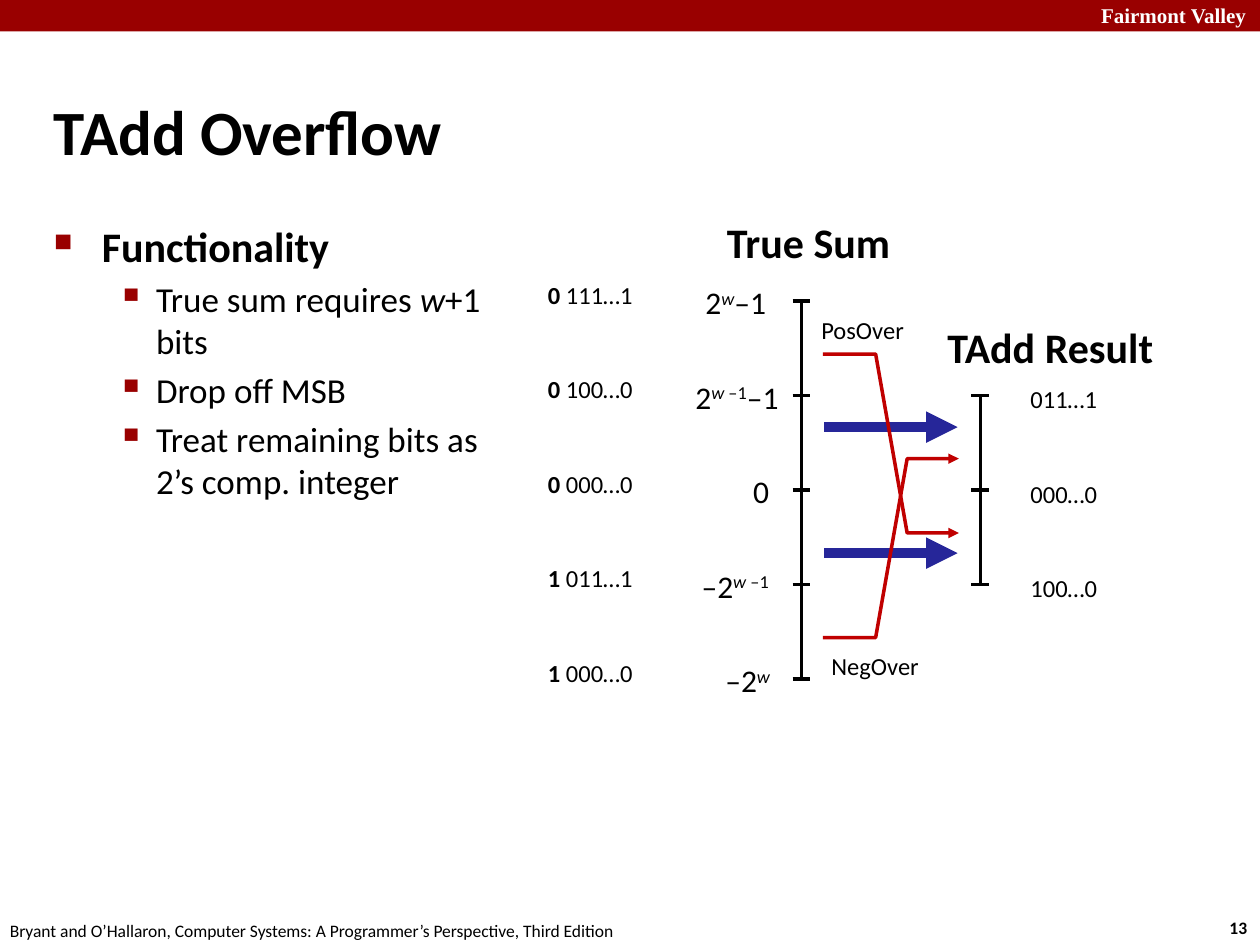
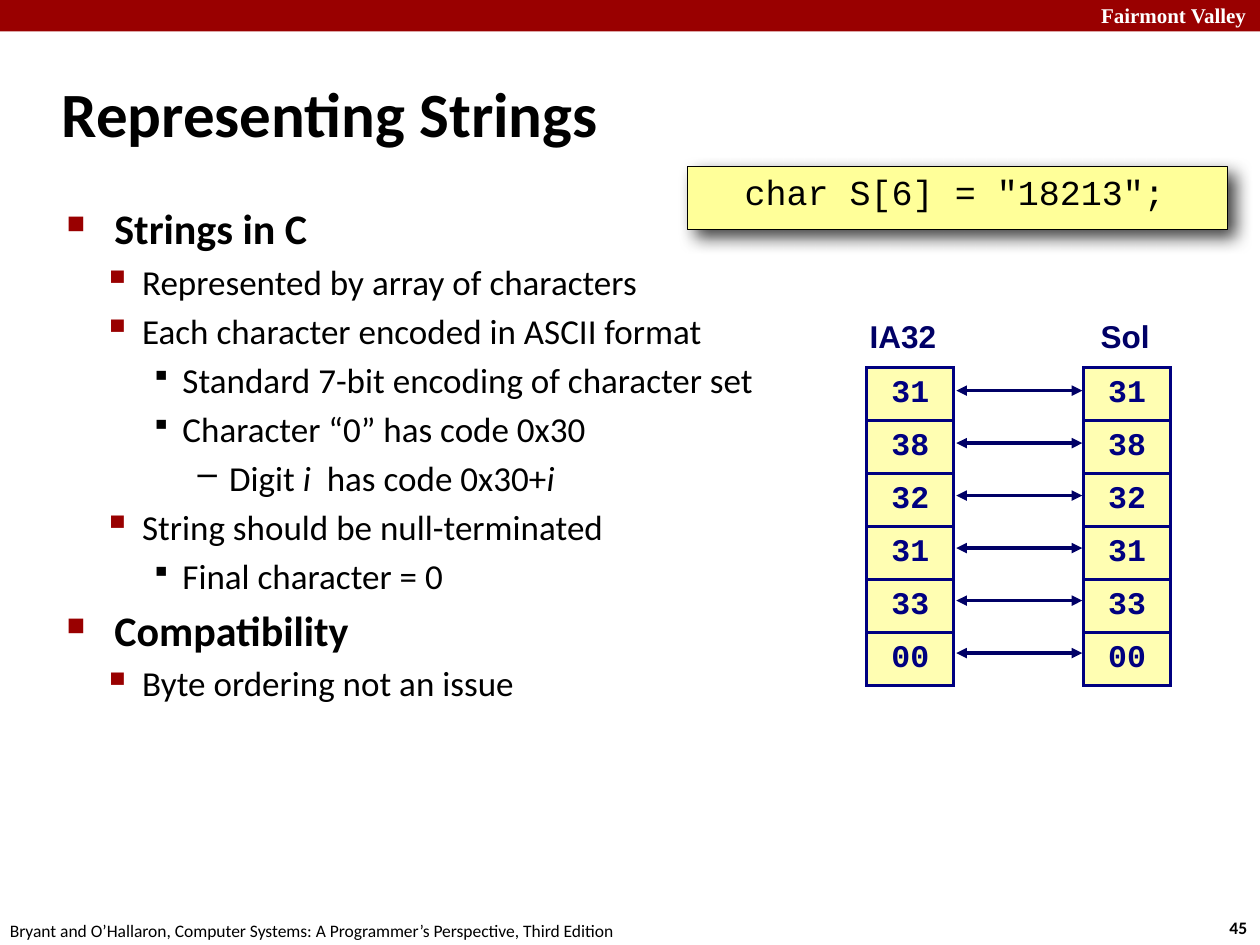
from lxml import etree
from pptx import Presentation
from pptx.dml.color import RGBColor
from pptx.enum.text import MSO_ANCHOR, MSO_AUTO_SIZE, PP_ALIGN
from pptx.oxml.ns import qn
from pptx.util import Inches, Pt

BLACK = RGBColor(0x00, 0x00, 0x00)
WHITE = RGBColor(0xFF, 0xFF, 0xFF)
CRIMSON = RGBColor(0x99, 0x00, 0x00)
RED = RGBColor(0xC0, 0x00, 0x00)
BLUE = RGBColor(0x26, 0x26, 0x99)
NAVY = RGBColor(0x00, 0x00, 0x66)
TABLE_NAVY = RGBColor(0x00, 0x00, 0x80)
CODE_YELLOW = RGBColor(0xFF, 0xFF, 0x99)
CELL_YELLOW = RGBColor(0xFF, 0xFE, 0xB2)

LEFT, CENTER, RIGHT = PP_ALIGN.LEFT, PP_ALIGN.CENTER, PP_ALIGN.RIGHT
TOP, MIDDLE = MSO_ANCHOR.TOP, MSO_ANCHOR.MIDDLE
GROW, FIXED = MSO_AUTO_SIZE.SHAPE_TO_FIT_TEXT, MSO_AUTO_SIZE.NONE

ITALIC = {"italic": True}
RAISED = {"baseline": 30000}
RAISED_ITALIC = {"italic": True, "baseline": 30000}
PLAIN = {"bold": False}

# Bullet levels: character, colour, size %, text size, bold
BULLETS = [
    ("■", CRIMSON, 60, 24, True),
    ("▪", CRIMSON, 110, 20, False),
    ("▪", BLACK, 80, 20, False),
    ("–", BLACK, 100, 20, False),
]


def add_text(slide, at, paragraphs, size, font="Calibri", color=BLACK, bold=False,
             align=LEFT, anchor=TOP, wrap=False, fit=GROW, insets=(0.1, 0.05, 0.1, 0.05)):
    """Add a text box; each paragraph is a list of strings or (string, format) pairs."""
    box = slide.shapes.add_textbox(*[Inches(length) for length in at])
    frame = box.text_frame
    frame.word_wrap, frame.auto_size, frame.vertical_anchor = wrap, fit, anchor
    for side, inset in zip(("left", "top", "right", "bottom"), insets):
        setattr(frame, f"margin_{side}", Inches(inset))
    for i, runs in enumerate(paragraphs):
        paragraph = frame.paragraphs[0] if i == 0 else frame.add_paragraph()
        paragraph.alignment = align
        for part in runs:
            text, changes = (part, {}) if isinstance(part, str) else part
            run = paragraph.add_run()
            run.text = text
            run.font.color.rgb = color
            formats = {"size": Pt(size), "name": font, "bold": bold, **changes}
            for key, value in formats.items():
                if key == "baseline":
                    run.font._element.set(key, str(value))
                else:
                    setattr(run.font, key, value)
    return box


def add_line(slide, points, color, width=2, ends=()):
    """Draw a straight or bent line; ends lists headEnd and/or tailEnd for arrowheads."""
    points = [(Inches(x), Inches(y)) for x, y in points]
    if len(points) == 2:
        line = slide.shapes.add_connector(1, *points[0], *points[1])
    else:
        builder = slide.shapes.build_freeform(*points[0])
        builder.add_line_segments(points[1:], close=False)
        line = builder.convert_to_shape()
        line.fill.background()
    line.line.color.rgb = color
    line.line.width = Pt(width)
    for end in ends:
        etree.SubElement(line.line._get_or_add_ln(), qn(f"a:{end}"), type="triangle")
    etree.SubElement(line._element.spPr, qn("a:effectLst"))


prs = Presentation()
prs.slide_width, prs.slide_height = Inches(10), Inches(7.5)

overflow_body = [
    (0, ["Functionality"]),
    (1, ["True sum requires ", ("w", ITALIC), "+1 bits"]),
    (1, ["Drop off MSB"]),
    (1, ["Treat remaining bits as 2’s comp. integer"]),
]
strings_body = [
    (0, ["Strings in C"]),
    (1, ["Represented by array of characters"]),
    (1, ["Each character encoded in ASCII format"]),
    (2, ["Standard 7-bit encoding of character set"]),
    (2, ["Character “0” has code 0x30"]),
    (3, ["Digit ", ("i", ITALIC), "  has code 0x30+", ("i", ITALIC)]),
    (1, ["String should be null-terminated"]),
    (2, ["Final character = 0"]),
    (0, ["Compatibility"]),
    (1, ["Byte ordering not an issue"]),
]

# Page number, title and its place, body and its place, (margin, hanging) per level
pages = [
    ("13", "TAdd Overflow", (0.33, 0.73, 7.39, 0.61),
     overflow_body, (0.33, 1.7, 3.62, 5.71), [(0.38, 0.38), (0.81, 0.31)]),
    ("45", "Representing Strings", (0.39, 0.48, 8.3, 0.83),
     strings_body, (0.43, 1.56, 8.64, 5.44),
     [(0.38, 0.38), (0.6, 0.31), (0.92, 0.25), (1.29, 0.25)]),
]

# Shared frame, title and bulleted body of every slide
slides = []
for number, title, title_at, body, body_at, indents in pages:
    slide = prs.slides.add_slide(prs.slide_layouts[6])
    slides.append(slide)
    band = slide.shapes.add_shape(1, 0, 0, prs.slide_width, Inches(0.25))
    band.shadow.inherit = False
    band.fill.solid()
    band.fill.fore_color.rgb = CRIMSON
    band.line.fill.background()
    add_text(slide, (8.64, -0.03, 1.43, 0.3), [["Fairmont Valley"]], 12,
             font="Times New Roman", color=WHITE, bold=True, wrap=True)
    add_text(slide, (9.66, 7.23, 0.37, 0.27), [[number]], 10, bold=True)
    add_text(slide, (-0.02, 7.25, 5.08, 0.27),
             [["Bryant and O’Hallaron, Computer Systems: "
               "A Programmer’s Perspective, Third Edition"]], 10)
    add_text(slide, title_at, [[title]], 36, bold=True, anchor=MIDDLE, wrap=True, fit=FIXED)

    body_box = add_text(slide, body_at, [runs for _, runs in body], 20, wrap=True, fit=FIXED)
    for (level, _), paragraph in zip(body, body_box.text_frame.paragraphs):
        mark, mark_color, mark_size, size, bold = BULLETS[level]
        margin, hanging = indents[level]
        paragraph.level = level
        paragraph.space_before = Pt(size * 0.2)
        for run in paragraph.runs:
            run.font.size, run.font.bold = Pt(size), bold
        props = paragraph._p.get_or_add_pPr()
        props.set("marL", str(Inches(margin)))
        props.set("indent", str(-Inches(hanging)))
        bullet_color = etree.SubElement(props, qn("a:buClr"))
        etree.SubElement(bullet_color, qn("a:srgbClr"), val=str(mark_color))
        etree.SubElement(props, qn("a:buSzPct"), val=str(mark_size * 1000))
        etree.SubElement(props, qn("a:buChar"), char=mark)

overflow, strings = slides

# --- TAdd Overflow: true sum and result scales ---
STEP = 0.75
SCALE_TOP = 2.39
for x, first, last in ((6.36, 0, 4), (7.78, 1, 3)):
    add_line(overflow, [(x, SCALE_TOP + first * STEP), (x, SCALE_TOP + last * STEP)], BLACK)
    for i in range(first, last + 1):
        y = SCALE_TOP + i * STEP
        add_line(overflow, [(x - 0.07, y), (x + 0.07, y)], BLACK)

# Values in range pass straight, values out of range cross over
for y in (3.39, 4.39):
    add_line(overflow, [(6.54, y), (7.6, y)], BLUE, 6, ["tailEnd"])
for start, end in ((2.81, 4.23), (5.06, 3.64)):
    add_line(overflow, [(6.53, start), (6.95, start), (7.2, end), (7.61, end)],
             RED, 2, ["tailEnd"])

# Bit patterns and values of the true sum
true_sums = [
    ("0", " 111…1", 5.5, 0.7, LEFT, ["2", ("w", RAISED_ITALIC), "–1"]),
    ("0", " 100…0", 5.42, 1.03, LEFT, ["2", ("w ", RAISED_ITALIC), ("–1", RAISED), "–1"]),
    ("0", " 000…0", 5.88, 0.33, LEFT, ["0"]),
    ("1", " 011…1", 5.42, 0.78, RIGHT, ["–2", ("w ", RAISED_ITALIC), ("–1", RAISED)]),
    ("1", " 000…0", 5.63, 0.58, RIGHT, ["–2", ("w", RAISED_ITALIC)]),
]
for i, (msb, rest, left, width, align, value) in enumerate(true_sums):
    add_text(overflow, (4.25, 2.17 + i * STEP, 0.88, 0.33), [[msb, (rest, PLAIN)]], 14, bold=True)
    add_text(overflow, (left, 2.2 + i * STEP, width, 0.4), [value], 18, align=align)

for i, bits in enumerate(("011…1", "000…0", "100…0")):
    add_text(overflow, (8.08, 3 + i * STEP, 0.73, 0.33), [[bits]], 14)

# Scale headings and overflow labels
add_text(overflow, (5.67, 1.67, 1.51, 0.5), [["True Sum"]], 24, bold=True)
add_text(overflow, (7.42, 2.5, 1.85, 0.5), [["TAdd Result"]], 24, bold=True)
add_text(overflow, (6.42, 2.45, 0.86, 0.34), [["PosOver"]], 14)
add_text(overflow, (6.5, 5.12, 0.9, 0.34), [["NegOver"]], 14)

# --- Representing Strings: declaration with a soft shadow ---
declaration = add_text(strings, (5.46, 1.32, 4.28, 0.5), [['char S[6] = "18213";']], 20,
                       font="Courier New", align=CENTER, wrap=True, fit=FIXED,
                       insets=(0.03, 0.03, 0.07, 0.03))
declaration.fill.solid()
declaration.fill.fore_color.rgb = CODE_YELLOW
declaration.line.color.rgb = BLACK
declaration.line.width = Pt(0.5)
effects = etree.SubElement(declaration._element.spPr, qn("a:effectLst"))
shadow = etree.SubElement(effects, qn("a:outerShdw"), blurRad=str(Pt(10)), dist=str(Pt(6)),
                          dir=str(45 * 60000), algn="tl", rotWithShape="0")
shadow_color = etree.SubElement(shadow, qn("a:srgbClr"), val=str(BLACK))
etree.SubElement(shadow_color, qn("a:alpha"), val="75000")

# Byte columns of the two machines
string_bytes = ["31", "38", "32", "31", "33", "00"]
ROW = 2.5 / len(string_bytes)
machines = [("IA32", 6.84, 0.69, 6.88), ("Sol", 8.63, 0.64, 8.6)]
for machine, label_left, label_width, column_left in machines:
    add_text(strings, (label_left, 2.46, label_width, 0.42), [[machine]], 18, font="Arial",
             color=NAVY, bold=True, align=CENTER, insets=(0.06, 0.06, 0.1, 0.06))
    column = strings.shapes.add_table(len(string_bytes), 1, Inches(column_left), Inches(2.92),
                                      Inches(0.69), Inches(2.5)).table
    column.first_row = column.horz_banding = False
    for i, byte in enumerate(string_bytes):
        column.rows[i].height = Inches(ROW)
        cell = column.cell(i, 0)
        cell.vertical_anchor = MIDDLE
        for side in ("left", "top", "right", "bottom"):
            setattr(cell, f"margin_{side}", Inches(0.06))
        paragraph = cell.text_frame.paragraphs[0]
        paragraph.alignment = CENTER
        run = paragraph.add_run()
        run.text = byte
        run.font.color.rgb = TABLE_NAVY
        for key, value in {"size": Pt(18), "name": "Courier New", "bold": True}.items():
            setattr(run.font, key, value)
        cell_props = cell._tc.get_or_add_tcPr()
        for edge in ("lnL", "lnR", "lnT", "lnB"):
            border = etree.SubElement(cell_props, qn(f"a:{edge}"), w=str(Pt(2)))
            border_fill = etree.SubElement(border, qn("a:solidFill"))
            etree.SubElement(border_fill, qn("a:srgbClr"), val=str(TABLE_NAVY))
        cell.fill.solid()
        cell.fill.fore_color.rgb = CELL_YELLOW

# Matching bytes
for i in range(len(string_bytes)):
    y = 3.1 + i * ROW
    add_line(strings, [(7.59, y), (8.59, y)], NAVY, 2, ["headEnd", "tailEnd"])

prs.save("out.pptx")
